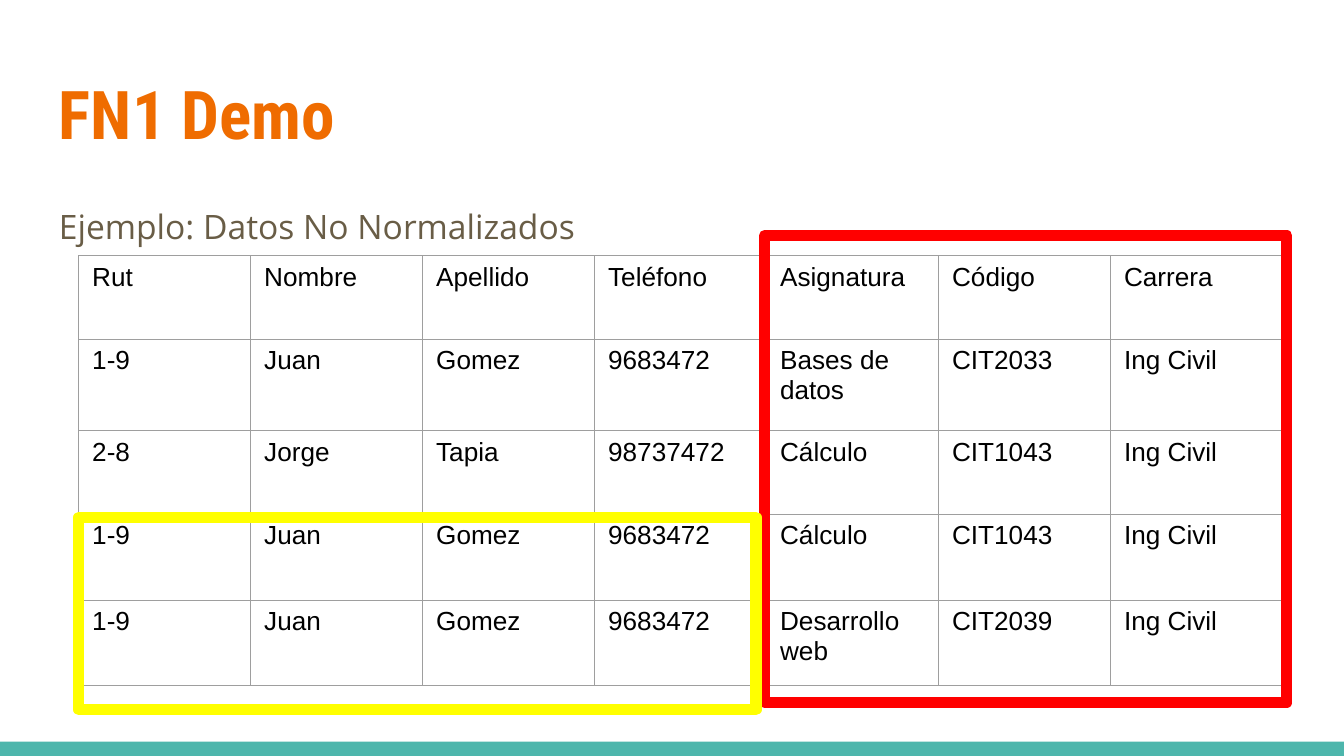
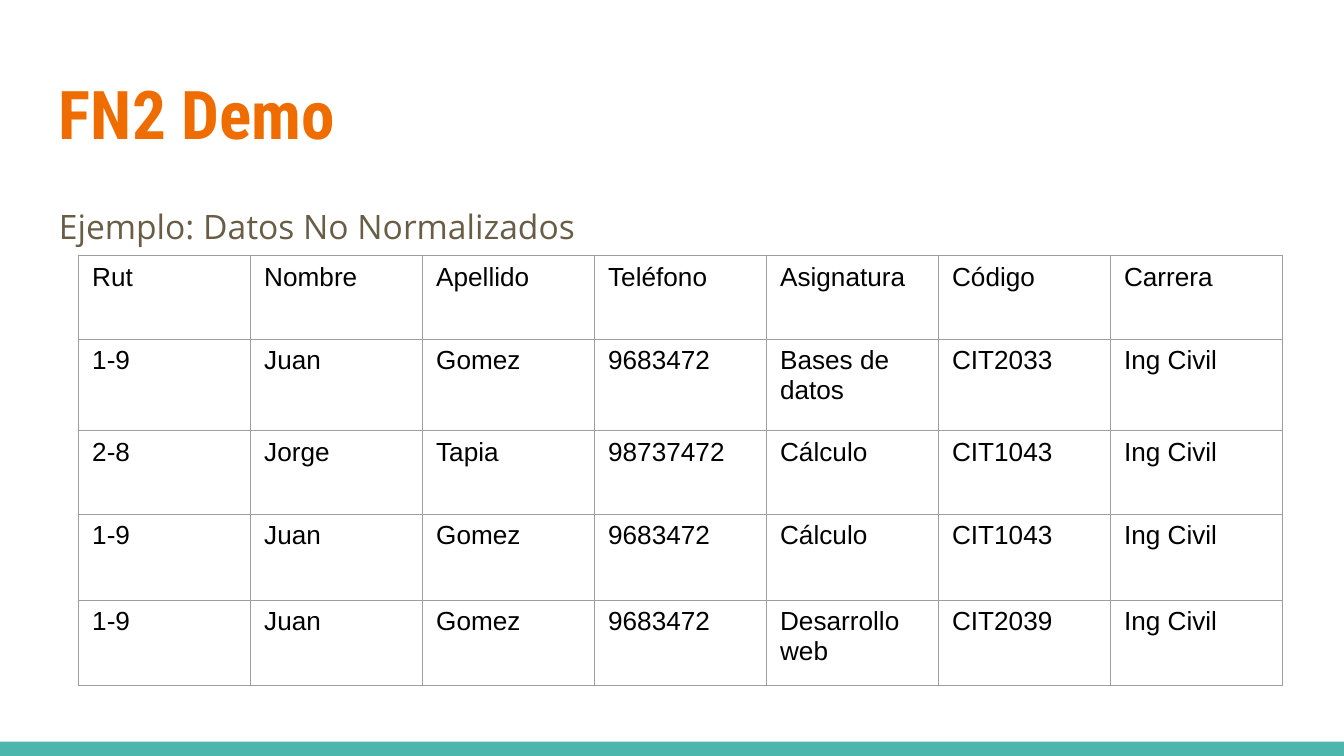
from dataclasses import dataclass

import lxml.etree
import pptx
import pptx.dml.color
import pptx.enum.shapes
import pptx.enum.text
import pptx.oxml.ns
import pptx.slide
import pptx.table
import pptx.util

Pt = pptx.util.Pt
RGBColor = pptx.dml.color.RGBColor
Anchor = pptx.enum.text.MSO_ANCHOR
RECTANGLE = pptx.enum.shapes.MSO_SHAPE.RECTANGLE
qn = pptx.oxml.ns.qn

# Colours
WHITE = RGBColor(0xFF, 0xFF, 0xFF)
BLACK = RGBColor(0x00, 0x00, 0x00)
TEAL = RGBColor(0x4D, 0xB6, 0xAC)
ORANGE = RGBColor(0xEF, 0x6C, 0x00)
BROWN = RGBColor(0x69, 0x5D, 0x46)
GREY = RGBColor(0x9E, 0x9E, 0x9E)
RED = RGBColor(0xFF, 0x00, 0x00)
YELLOW = RGBColor(0xFF, 0xFF, 0x00)


@dataclass(frozen=True)
class Box:
    left: float
    top: float
    width: float
    height: float

    def lengths(self) -> tuple[pptx.util.Length, ...]:
        return Pt(self.left), Pt(self.top), Pt(self.width), Pt(self.height)


@dataclass(frozen=True)
class TextStyle:
    font: str
    size: float
    color: RGBColor
    bold: bool = False
    line_spacing: float = 1.0
    space_after: float = 0


@dataclass(frozen=True)
class Frame:
    box: Box
    color: RGBColor


@dataclass(frozen=True)
class DemoSlide:
    title: str
    frames: tuple[Frame, ...] = ()


# Shared layout and styles
SLIDE_WIDTH, SLIDE_HEIGHT = 720, 405
BAND_BOX = Box(0, 397.4, SLIDE_WIDTH, 7.6)
TITLE_BOX = Box(24.5, 35.3, 671, 55.4)
BODY_BOX = Box(24.5, 100, 671, 260)
TEXT_INSET = 7.2
TITLE_STYLE = TextStyle("Roboto Condensed", 36, ORANGE, bold=True, line_spacing=0.9)
BODY_STYLE = TextStyle("Open Sans", 18, BROWN, line_spacing=1.15, space_after=12)
CELL_STYLE = TextStyle("Arial", 14, BLACK)
BORDER_WIDTH = 0.75
FRAME_WIDTH = 6

# Table content
SUBTITLE = "Ejemplo: Datos No Normalizados"
TABLE_LEFT, TABLE_TOP = 42.2, 137
COLUMN_WIDTH = 92.15
ROW_HEIGHTS = (44.9, 48.9, 44.9, 46, 45.6)
STUDENTS = (
    ("Rut", "Nombre", "Apellido", "Teléfono", "Asignatura", "Código", "Carrera"),
    ("1-9", "Juan", "Gomez", "9683472", "Bases de datos", "CIT2033", "Ing Civil"),
    ("2-8", "Jorge", "Tapia", "98737472", "Cálculo", "CIT1043", "Ing Civil"),
    ("1-9", "Juan", "Gomez", "9683472", "Cálculo", "CIT1043", "Ing Civil"),
    ("1-9", "Juan", "Gomez", "9683472", "Desarrollo web", "CIT2039", "Ing Civil"),
)

SLIDES = (
    DemoSlide(
        "FN1 Demo",
        (
            Frame(Box(409.6, 126.2, 279.8, 250.2), RED),
            Frame(Box(42.2, 277.2, 362.8, 103), YELLOW),
        ),
    ),
    DemoSlide("FN2 Demo"),
)


def write_text(text_frame: pptx.text.text.TextFrame, text: str, style: TextStyle) -> None:
    text_frame.text = text
    for paragraph in text_frame.paragraphs:
        paragraph.line_spacing = style.line_spacing
        paragraph.space_after = Pt(style.space_after)
        for run in paragraph.runs:
            run.font.name = style.font
            run.font.size = Pt(style.size)
            run.font.bold = style.bold
            run.font.color.rgb = style.color


def add_text(slide: pptx.slide.Slide, box: Box, text: str, style: TextStyle,
             anchor: Anchor = Anchor.TOP) -> None:
    text_frame = slide.shapes.add_textbox(*box.lengths()).text_frame
    text_frame.word_wrap = True
    text_frame.vertical_anchor = anchor
    text_frame.margin_left = text_frame.margin_right = Pt(TEXT_INSET)
    text_frame.margin_top = text_frame.margin_bottom = Pt(TEXT_INSET)
    write_text(text_frame, text, style)


def add_band(slide: pptx.slide.Slide) -> None:
    shape = slide.shapes.add_shape(RECTANGLE, *BAND_BOX.lengths())
    shape.shadow.inherit = False
    shape.fill.solid()
    shape.fill.fore_color.rgb = TEAL
    shape.line.fill.background()


def add_frame(slide: pptx.slide.Slide, frame: Frame) -> None:
    shape = slide.shapes.add_shape(RECTANGLE, *frame.box.lengths())
    shape.shadow.inherit = False
    shape.fill.background()
    shape.line.color.rgb = frame.color
    shape.line.width = Pt(FRAME_WIDTH)
    # Rounded corners of the outline
    lxml.etree.SubElement(shape.line._get_or_add_ln(), qn("a:round"))


def set_borders(cell: pptx.table._Cell) -> None:
    properties = cell._tc.get_or_add_tcPr()
    for side in ("a:lnL", "a:lnR", "a:lnT", "a:lnB"):
        line = lxml.etree.SubElement(properties, qn(side), w=str(int(Pt(BORDER_WIDTH))))
        fill = lxml.etree.SubElement(line, qn("a:solidFill"))
        lxml.etree.SubElement(fill, qn("a:srgbClr"), val=str(GREY))


def add_student_table(slide: pptx.slide.Slide) -> None:
    column_count = len(STUDENTS[0])
    box = Box(TABLE_LEFT, TABLE_TOP, COLUMN_WIDTH * column_count, sum(ROW_HEIGHTS))
    table = slide.shapes.add_table(len(STUDENTS), column_count, *box.lengths()).table
    table.first_row = table.horz_banding = False
    for column in table.columns:
        column.width = Pt(COLUMN_WIDTH)
    for row, height, values in zip(table.rows, ROW_HEIGHTS, STUDENTS):
        row.height = Pt(height)
        for cell, value in zip(row.cells, values):
            set_borders(cell)
            cell.fill.background()
            cell.margin_left = cell.margin_right = Pt(7.2)
            cell.margin_top = cell.margin_bottom = Pt(3.6)
            write_text(cell.text_frame, value, CELL_STYLE)


def add_demo_slide(presentation: pptx.presentation.Presentation, demo: DemoSlide) -> None:
    slide = presentation.slides.add_slide(presentation.slide_layouts[6])
    slide.background.fill.solid()
    slide.background.fill.fore_color.rgb = WHITE
    add_band(slide)
    add_text(slide, TITLE_BOX, demo.title, TITLE_STYLE, Anchor.MIDDLE)
    add_text(slide, BODY_BOX, SUBTITLE, BODY_STYLE)
    add_student_table(slide)
    for frame in demo.frames:
        add_frame(slide, frame)


def main() -> None:
    presentation = pptx.Presentation()
    presentation.slide_width = Pt(SLIDE_WIDTH)
    presentation.slide_height = Pt(SLIDE_HEIGHT)
    for demo in SLIDES:
        add_demo_slide(presentation, demo)
    presentation.save("out.pptx")


if __name__ == "__main__":
    main()
